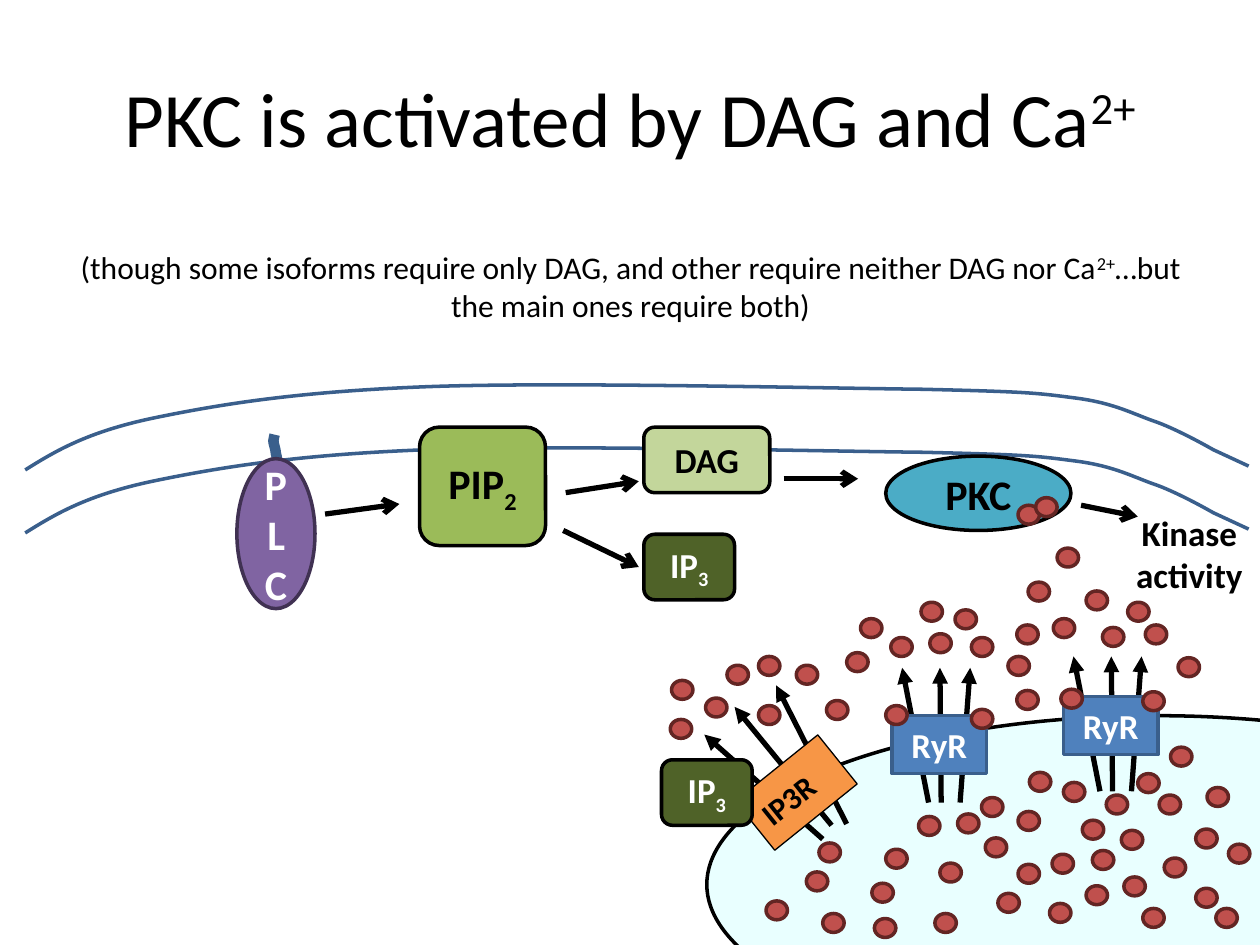
from lxml import etree
from pptx import Presentation, util as u
from pptx.dml.color import RGBColor
from pptx.enum import shapes, text
from pptx.oxml import ns

KIND = shapes.MSO_SHAPE
BLACK, WHITE, CALCIUM, MEMBRANE = "000000", "FFFFFF", "C0504D", "3A5F8C"
SUPER, SUB = 30, -25
ION_SIZE = (0.17, 0.15)

# Top left corners of the calcium ions, in inches
IP3R_IONS = [
    (5.77, 5.28), (5.6, 5.54), (5.32, 5.71), (6.02, 5.21), (6.32, 5.28),
    (6.56, 5.56), (6.02, 5.6), (5.33, 5.4),
]
STORED_IONS = [
    (6.4, 6.92), (6.5, 6.69), (6.92, 7.01), (7.03, 6.74), (7.29, 6.48),
    (7.46, 6.85), (8.08, 6.44), (8.35, 6.78), (8.08, 6.86), (7.92, 7.09),
    (7.6, 6.46), (8.44, 6.21), (7.79, 6.33), (8.17, 6.13), (8.59, 6.51),
    (8.67, 6.75), (9.03, 6.14), (8.33, 7.17), (8.62, 7.03), (9.29, 5.93),
    (9.58, 6.25), (9.75, 6.7), (9.49, 6.58), (9.2, 6.31), (8.92, 6.96),
    (9.07, 7.21), (9.65, 7.21), (6.94, 7.29), (6.53, 7.25), (6.08, 7.15),
    (7.42, 7.25), (9.49, 7.05), (8.78, 6.31), (8.9, 6.59), (9.24, 6.81),
    (7.82, 6.65),
]
RYR_IONS = [
    (7.03, 5.6), (7.71, 5.63), (6.83, 4.91), (6.72, 5.18), (7.38, 5.03),
    (8, 5.21), (7.71, 5.06), (7.07, 5.06), (7.31, 4.78), (7.58, 4.84),
    (8.07, 5.48), (8.07, 4.96), (9.35, 5.22), (8.36, 4.91), (8.75, 4.98),
    (9.09, 4.96), (8.42, 5.47), (9.07, 5.49), (8.62, 4.69), (8.95, 4.78),
]
PKC_IONS = [(8.08, 4.01), (8.22, 3.95), (8.16, 4.62), (8.39, 4.35)]

# A start point, then segments: two control points and an end, or an end alone
MEMBRANE_CURVE = [
    [(0.2, 3.73)],
    [(0.44, 3.58), (0.69, 3.43), (1.21, 3.32)],
    [(1.74, 3.21), (2.35, 3.11), (3.37, 3.07)],
    [(4.39, 3.03), (6.46, 3.08), (7.32, 3.09)],
    [(8.18, 3.11), (8.23, 3.12), (8.54, 3.16)],
    [(8.85, 3.2), (9, 3.29), (9.18, 3.35)],
    [(9.37, 3.42), (9.63, 3.57), (9.63, 3.57)],
    [(9.91, 3.7)],
]
PLC_ANCHOR = [
    [(2.2, 3.68)],
    [(2.2, 3.66), (2.2, 3.63), (2.19, 3.6)],
    [(2.19, 3.57), (2.17, 3.52), (2.17, 3.5)],
    [(2.17, 3.48), (2.18, 3.46), (2.18, 3.45)],
]


def lengths(*inches):
    return [u.Cm(2.54 * value) for value in inches]


def color(value):
    return RGBColor.from_string(value)


def set_line(line, value, width):
    line.color.rgb = color(value)
    line.width = u.Pt(width)


def write(shape, *pieces, size=20, fill=BLACK, bold=True,
          anchor=text.MSO_ANCHOR.MIDDLE):
    """Write pieces, each a string or a (string, baseline percent) pair."""
    frame = shape.text_frame
    frame.word_wrap = True
    frame.vertical_anchor = anchor
    paragraph = frame.paragraphs[0]
    paragraph.alignment = text.PP_ALIGN.CENTER
    for piece in pieces:
        words, baseline = (piece, 0) if isinstance(piece, str) else piece
        run = paragraph.add_run()
        run.text = words
        run.font.name = "Calibri"
        run.font.size = u.Pt(size)
        run.font.bold = bold
        run.font.color.rgb = color(fill)
        if baseline:
            run.font._element.set("baseline", str(baseline * 1000))


def add_label(slide, box, *pieces, grow=True, **style):
    shape = slide.shapes.add_textbox(*lengths(*box))
    write(shape, *pieces, **style)
    if grow:
        shape.text_frame.auto_size = text.MSO_AUTO_SIZE.SHAPE_TO_FIT_TEXT


def add_figure(slide, kind, box, fill, line=BLACK, width=2):
    shape = slide.shapes.add_shape(kind, *lengths(*box))
    shape.shadow.inherit = False
    shape.fill.solid()
    shape.fill.fore_color.rgb = color(fill)
    set_line(shape.line, line, width)
    return shape


def add_ions(slide, corners):
    for corner in corners:
        add_figure(slide, KIND.FLOWCHART_CONNECTOR, corner + ION_SIZE, CALCIUM, "632523")


def add_arrow(slide, start, end, head="arrow"):
    arrow = slide.shapes.add_connector(
        shapes.MSO_CONNECTOR.STRAIGHT, *lengths(*start, *end))
    set_line(arrow.line, BLACK, 3)
    properties = arrow._element.spPr
    etree.SubElement(properties.find(ns.qn("a:ln")), ns.qn("a:tailEnd"), type=head)
    etree.SubElement(properties, ns.qn("a:effectLst"))


def add_arrows(slide, ends, head="arrow"):
    for start, end in ends:
        add_arrow(slide, start, end, head)


def add_curve(slide, segments, width, drop=0):
    """Draw a chain of cubic curves and lines, lowered by drop inches."""
    nodes = [[lengths(x, y + drop) for x, y in segment] for segment in segments]
    builder = slide.shapes.build_freeform(*nodes[0][0])
    builder.add_line_segments([node[-1] for node in nodes[1:]], close=False)
    curve = builder.convert_to_shape()
    lines = list(curve._element.iter(ns.qn("a:lnTo")))
    for line, node in zip(lines, nodes[1:]):
        if len(node) == 3:
            line.tag = ns.qn("a:cubicBezTo")
            line.clear()
            for x, y in node:
                etree.SubElement(line, ns.qn("a:pt"),
                                 x=str(x - curve.left), y=str(y - curve.top))
    curve.shadow.inherit = False
    curve.fill.background()
    set_line(curve.line, MEMBRANE, width)


def add_ip3(slide, left, top):
    shape = add_figure(slide, KIND.ROUNDED_RECTANGLE, (left, top, 0.72, 0.52), "4F6228")
    write(shape, "IP", ("3", SUB), fill=WHITE)


def add_ryr_arrows(slide, left, top):
    """Draw three arrows that fan out above a ryanodine receptor."""
    add_arrows(slide, [((left + start, top + 1.07), (left + end, top))
                       for start, end in ((0.29, 0.08), (0.39, 0.38), (0.54, 0.62))],
               "triangle")


def add_ryr(slide, left, top):
    shape = add_figure(slide, KIND.RECTANGLE, (left, top, 0.75, 0.46), "4F81BD", MEMBRANE)
    write(shape, "RyR", fill=WHITE)


def add_ip3r(slide):
    add_arrows(slide, (((6.72, 6.54), (6.16, 5.44)), ((6.6, 6.55), (5.83, 5.61)),
                       ((6.53, 6.66), (5.59, 5.83))), "triangle")
    receptor = add_figure(slide, KIND.RECTANGLE, (6.07, 5.87, 0.5, 0.84), "F79646", width=0.75)
    receptor.rotation = 231.2
    write(receptor, "IP3R", size=18)
    receptor.text_frame.word_wrap = False
    receptor.text_frame._txBody.bodyPr.set("vert", "eaVert")


def add_store(slide):
    store = add_figure(slide, KIND.OVAL, (5.61, 5.68, 7.14, 2.68), "CCFFFF")
    fill = store.fill.fore_color._xFill.find(ns.qn("a:srgbClr"))
    etree.SubElement(fill, ns.qn("a:alpha"), val="42000")


def add_lipid_pathway(slide):
    plc = add_figure(slide, KIND.OVAL, (1.88, 3.64, 0.62, 1.19), "8064A2", "403152")
    write(plc, "PLC", size=24, fill=WHITE)
    pip2 = add_figure(slide, KIND.ROUNDED_RECTANGLE, (3.33, 3.39, 1, 0.94), "9BBB59")
    write(pip2, "PIP", ("2", SUB), size=24)
    add_arrows(slide, (((2.58, 4.08), (3.17, 4)), ((4.49, 3.91), (5.07, 3.82)),
                       ((4.47, 4.21), (5.07, 4.5))))
    dag = add_figure(slide, KIND.ROUNDED_RECTANGLE, (5.11, 3.39, 1, 0.52), "C3D69B")
    write(dag, "DAG")
    add_ip3(slide, 5.11, 4.24)


def main():
    presentation = Presentation()
    presentation.slide_width, presentation.slide_height = lengths(10, 7.5)
    slide = presentation.slides.add_slide(presentation.slide_layouts[6])

    add_curve(slide, PLC_ANCHOR, 6)
    add_label(slide, (0.5, 0.3, 9, 1.25), "PKC is activated by DAG and Ca", ("2+", SUPER),
              size=44, bold=False, grow=False)
    for drop in (0, 0.5):
        add_curve(slide, MEMBRANE_CURVE, 2, drop)
    add_lipid_pathway(slide)
    add_store(slide)
    add_ryr_arrows(slide, 8.44, 5.21)
    add_ip3r(slide)
    add_ip3(slide, 5.25, 6.03)
    add_ions(slide, IP3R_IONS)
    add_ryr_arrows(slide, 7.08, 5.3)
    add_ryr(slide, 7.08, 5.68)
    add_ryr(slide, 8.44, 5.53)
    add_ions(slide, STORED_IONS + RYR_IONS)
    pkc = add_figure(slide, KIND.OVAL, (7.03, 3.62, 1.47, 0.59), "4BACC6")
    write(pkc, "PKC", size=24)
    add_label(slide, (0.43, 1.92, 9.15, 0.71),
              "(though some isoforms require only DAG, and other require neither DAG nor Ca",
              ("2+", SUPER), "…but the main ones require both)",
              size=18, bold=False, anchor=text.MSO_ANCHOR.TOP)
    add_arrows(slide, (((6.22, 3.8), (6.81, 3.8)), ((8.58, 4.01), (9.03, 4.1))))
    add_label(slide, (8.74, 4.01, 1.4, 0.77), "Kinase activity", anchor=text.MSO_ANCHOR.TOP)
    add_ions(slide, PKC_IONS)

    presentation.save("out.pptx")


if __name__ == "__main__":
    main()
